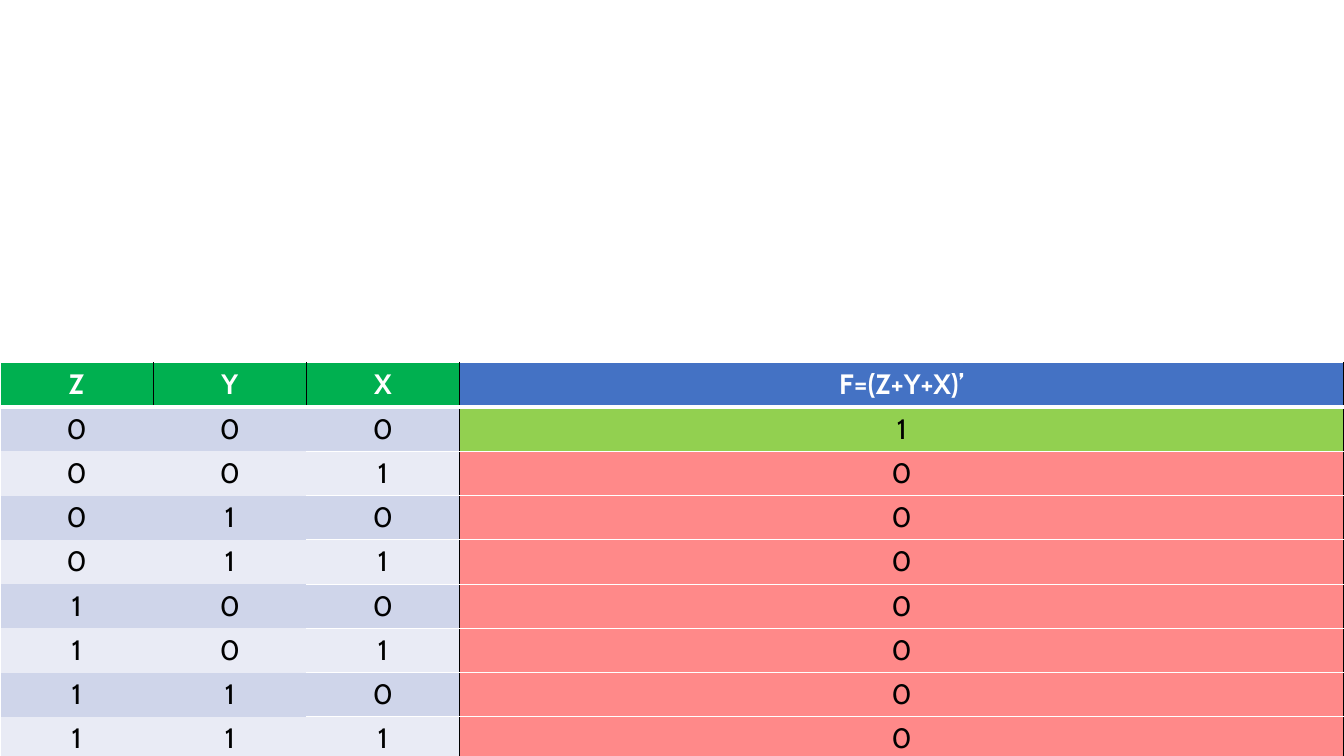
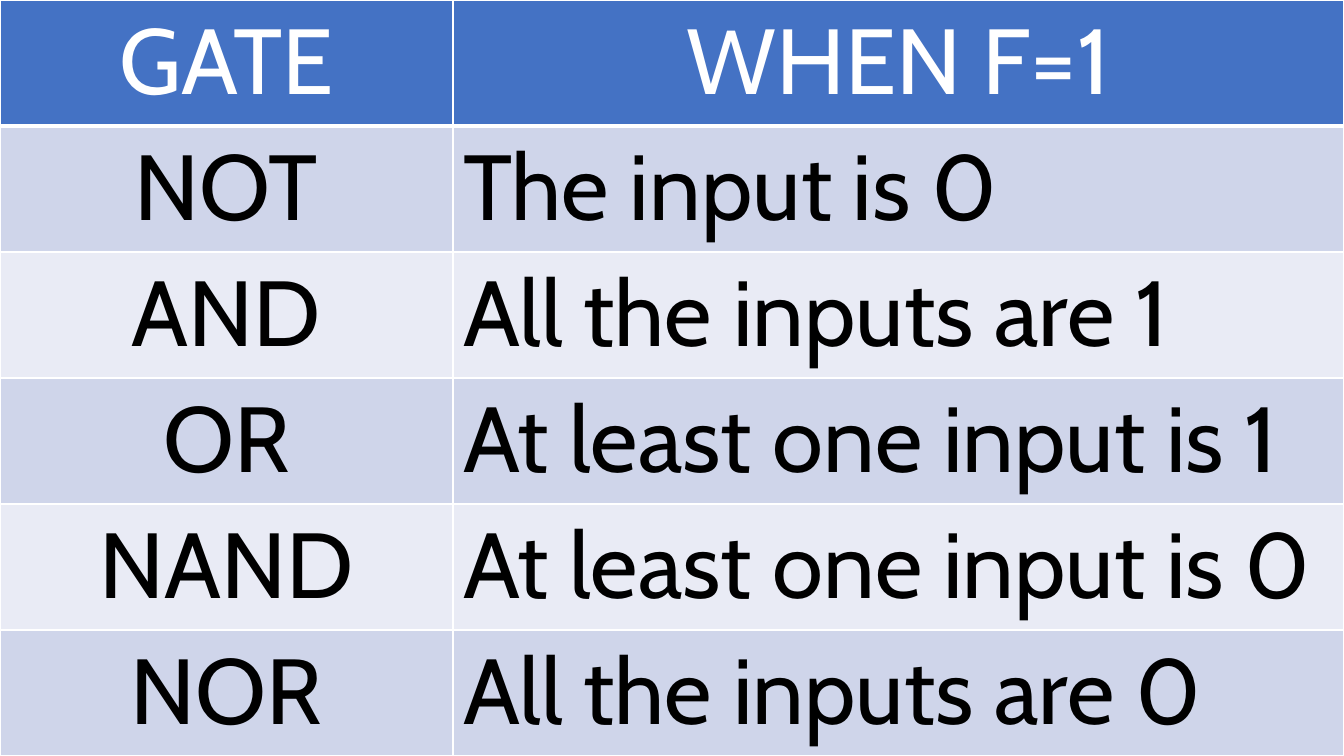
"""Build two slides of logic-gate tables: the NOR truth table and a gate summary."""
from dataclasses import dataclass
from itertools import product
from typing import Optional

from lxml import etree
from pptx import Presentation
from pptx.dml.color import RGBColor
from pptx.enum.text import PP_ALIGN
from pptx.oxml.ns import qn
from pptx.util import Inches, Pt

CENTER, LEFT = PP_ALIGN.CENTER, PP_ALIGN.LEFT
COLORS = {
    "white": "FFFFFF",
    "black": "000000",
    "header": "4472C4",
    "input": "00B050",
    "band_dark": "CFD5EA",
    "band_light": "E9EBF5",
    "true": "92D050",
    "false": "FF8989",
}
FONT = "Cabin"
SLIDE_WIDTH, SLIDE_HEIGHT = Inches(13.33), Inches(7.5)
BLANK_LAYOUT = 6
THIN, THICK = 1, 3


@dataclass(frozen=True)
class Edge:
    """One cell border; no color means no line."""
    color: Optional[str] = None
    width: float = THIN


@dataclass(frozen=True)
class Column:
    """One table column; its width is a share of the slide's width."""
    heading: str
    width: float
    header_fill: str = "header"
    align: PP_ALIGN = CENTER
    ruled: bool = True
    value_fills: Optional[dict[str, str]] = None


@dataclass(frozen=True)
class GateTable:
    """A table; top and row height are shares of the slide's height.

    The header and body dividers name a line color for every column boundary.
    """
    columns: list[Column]
    rows: list[tuple[str, ...]]
    top: float
    row_height: float
    font_size: float
    header_bold: bool
    header_dividers: list[Optional[str]]
    body_dividers: list[Optional[str]]


def draw_edge(cell_properties, tag: str, position: int, edge: Edge) -> None:
    """Insert one border line at its place in the cell properties."""
    line = etree.Element(qn(tag), w=str(Pt(edge.width)))
    if edge.color is None:
        etree.SubElement(line, qn("a:noFill"))
    else:
        fill = etree.SubElement(line, qn("a:solidFill"))
        etree.SubElement(fill, qn("a:srgbClr"), val=COLORS[edge.color])
    cell_properties.insert(position, line)


def cell_edges(table: GateTable, row: int, column: int) -> dict[str, Edge]:
    """Work out the four borders of a cell from its place in the table."""
    dividers = table.body_dividers if row else table.header_dividers
    inner = Edge("white" if table.columns[column].ruled else None)
    outer, header_rule = Edge("white"), Edge("white", THICK)
    tops = {0: outer, 1: header_rule}
    bottoms = {0: header_rule, len(table.rows): outer}
    return {
        "a:lnL": Edge(dividers[column]),
        "a:lnR": Edge(dividers[column + 1]),
        "a:lnT": tops.get(row, inner),
        "a:lnB": bottoms.get(row, inner),
    }


def cell_fill(column: Column, row: int, text: str) -> str:
    """Choose a cell's fill: header, value-dependent or banded."""
    if row == 0:
        return column.header_fill
    if column.value_fills:
        return column.value_fills[text]
    return "band_dark" if row % 2 else "band_light"


def draw_cell(cell, table: GateTable, row: int, index: int, text: str) -> None:
    """Write and format one cell."""
    column, is_header = table.columns[index], row == 0
    cell.text_frame.text = text
    paragraph = cell.text_frame.paragraphs[0]
    paragraph.alignment = CENTER if is_header else column.align
    font = paragraph.runs[0].font
    font.name, font.size = FONT, Pt(table.font_size)
    font.bold = is_header and table.header_bold
    font.color.rgb = RGBColor.from_string(COLORS["white" if is_header else "black"])
    cell.fill.solid()
    cell.fill.fore_color.rgb = RGBColor.from_string(COLORS[cell_fill(column, row, text)])
    cell_properties = cell._tc.get_or_add_tcPr()
    for position, (tag, edge) in enumerate(cell_edges(table, row, index).items()):
        draw_edge(cell_properties, tag, position, edge)


def add_table_slide(presentation, table: GateTable) -> None:
    """Add a slide that holds one full-width table."""
    slide = presentation.slides.add_slide(presentation.slide_layouts[BLANK_LAYOUT])
    lines = [tuple(column.heading for column in table.columns), *table.rows]
    row_height = int(SLIDE_HEIGHT * table.row_height)
    grid = slide.shapes.add_table(
        len(lines), len(table.columns), 0, int(SLIDE_HEIGHT * table.top),
        SLIDE_WIDTH, row_height * len(lines)).table
    for index, column in enumerate(table.columns):
        grid.columns[index].width = int(SLIDE_WIDTH * column.width)
    for row, texts in enumerate(lines):
        grid.rows[row].height = row_height
        for index, text in enumerate(texts):
            draw_cell(grid.cell(row, index), table, row, index, text)


INPUT_WIDTH = 0.114
NOR_TABLE = GateTable(
    columns=[
        Column("Z", INPUT_WIDTH, "input", ruled=False),
        Column("Y", INPUT_WIDTH, "input", ruled=False),
        Column("X", INPUT_WIDTH, "input"),
        Column("F=(Z+Y+X)’", 1 - 3 * INPUT_WIDTH,
               value_fills={"1": "true", "0": "false"}),
    ],
    rows=[(*map(str, inputs), str(int(not any(inputs))))
          for inputs in product((0, 1), repeat=3)],
    top=0.48,
    row_height=0.056,
    font_size=20,
    header_bold=True,
    header_dividers=["white"] + ["black"] * 4,
    body_dividers=["white", None, None, "black", "black"],
)

GATE_WIDTH = 0.337
SUMMARY_TABLE = GateTable(
    columns=[Column("GATE", GATE_WIDTH),
             Column("WHEN F=1", 1 - GATE_WIDTH, align=LEFT)],
    rows=[
        ("NOT", "The input is 0"),
        ("AND", "All the inputs are 1"),
        ("OR", "At least one input is 1"),
        ("NAND", "At least one input is 0"),
        ("NOR", "All the inputs are 0"),
    ],
    top=0,
    row_height=1 / 6,
    font_size=66,
    header_bold=False,
    header_dividers=["white"] * 3,
    body_dividers=["white"] * 3,
)


def main() -> None:
    """Build and save the presentation."""
    presentation = Presentation()
    presentation.slide_width, presentation.slide_height = SLIDE_WIDTH, SLIDE_HEIGHT
    for table in (NOR_TABLE, SUMMARY_TABLE):
        add_table_slide(presentation, table)
    presentation.save("out.pptx")


main()
